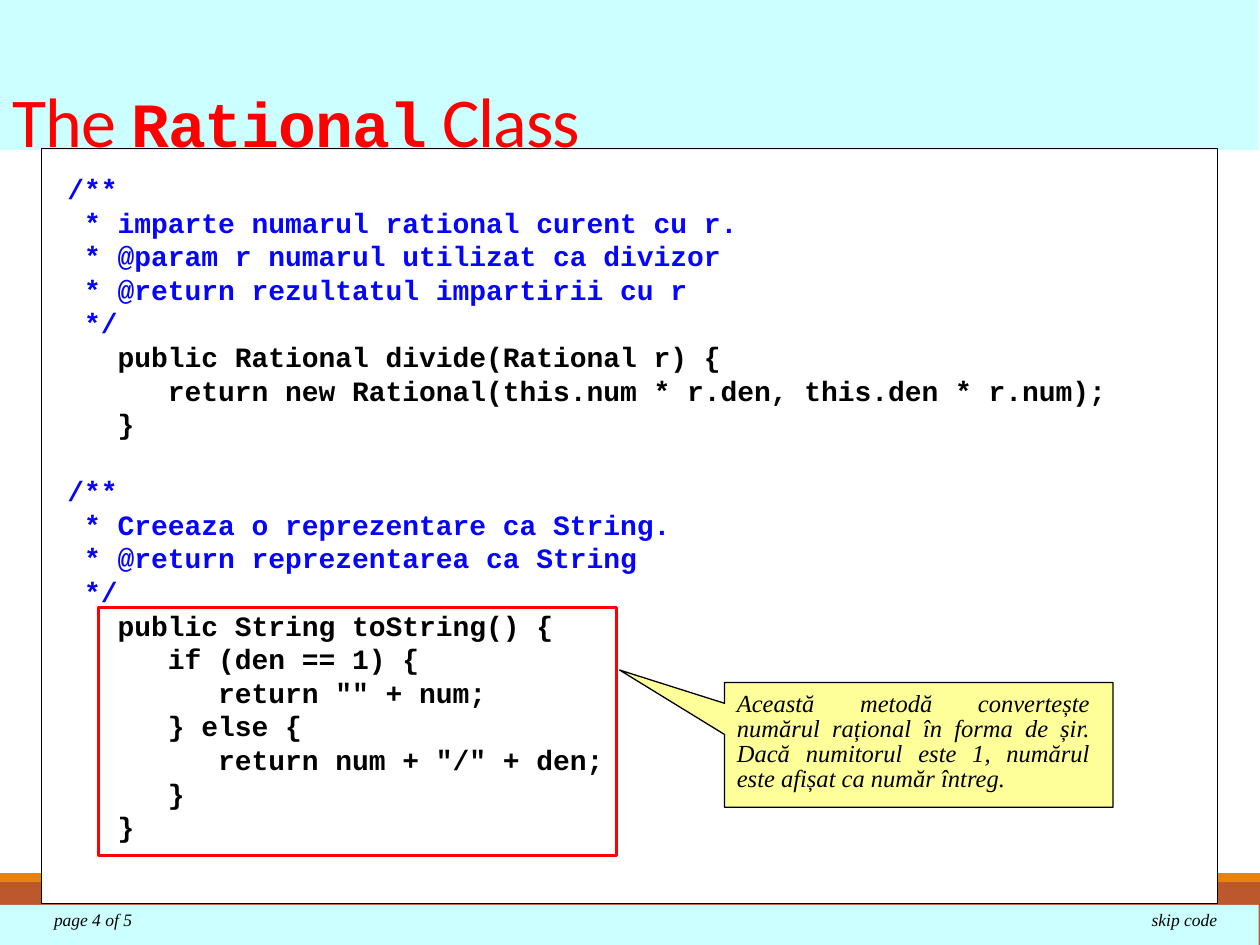
from pptx import Presentation
from pptx.util import Pt
from pptx.dml.color import RGBColor
from pptx.enum.shapes import MSO_SHAPE as SHAPE
from pptx.enum.text import MSO_ANCHOR as ANCHOR, PP_ALIGN as ALIGN

COMMENT, BLACK, RED = "0404FF", "000000", "FF0000"
SERIF, MONO = "Times New Roman", "Courier New"
LINE = 19.2

prs = Presentation()
prs.slide_width, prs.slide_height = Pt(720), Pt(540)
s = prs.slides.add_slide(prs.slide_layouts[6])


def color(value):
    return RGBColor.from_string(value)


def style(font, name, size, value, bold=False, italic=False):
    font.name, font.size = name, Pt(size)
    font.bold, font.italic = bold, italic
    font.color.rgb = color(value)


# Footer bands, code panel, header and footer backgrounds, frames, callout
panel = (23.8, 85, 671.8, 431.3)
boxes = [
    (SHAPE.RECTANGLE, (0, 504, 720, 36), "BD582C", None, 0),
    (SHAPE.RECTANGLE, (0, 499, 720, 5), "E48312", None, 0),
    (SHAPE.RECTANGLE, panel, "FFFFFF", None, 0),
    (SHAPE.RECTANGLE, (0, 0, 719.3, 85.7), "CCFFFF", None, 0),
    (SHAPE.RECTANGLE, (0, 517, 719.3, 23), "CCFFFF", None, 0),
    (SHAPE.RECTANGLE, panel, None, BLACK, 0.75),
    (SHAPE.RECTANGLE, (56.2, 347, 296, 142), None, RED, 1.5),
    (SHAPE.RECTANGULAR_CALLOUT, (414, 390, 222, 71.3), "FFFF99", BLACK, 0.75),
]
for kind, place, fill, line, width in boxes:
    sp = s.shapes.add_shape(kind, *map(Pt, place))
    sp.shadow.inherit = False
    if fill:
        sp.fill.solid()
        sp.fill.fore_color.rgb = color(fill)
    else:
        sp.fill.background()
    if line:
        sp.line.color.rgb = color(line)
        sp.line.width = Pt(width)
    else:
        sp.line.fill.background()
    if kind == SHAPE.RECTANGULAR_CALLOUT:
        sp.adjustments[0], sp.adjustments[1] = -0.77, -0.6

# Title
tf = s.shapes.add_textbox(Pt(0), Pt(5.8), Pt(720), Pt(90)).text_frame
tf.word_wrap = True
tf.vertical_anchor = ANCHOR.BOTTOM
p = tf.paragraphs[0]
p.line_spacing = 0.85
for text, name, size in [("The ", "Calibri", 40), ("Rational", MONO, 36),
                         (" Class", "Calibri", 40)]:
    r = p.add_run()
    r.text = text
    style(r.font, name, size, RED, bold=name == MONO)
    r.font._element.set("spc", "-50")

# Code: each method is a comment followed by its body
methods = [
    ("""/**
 * imparte numarul rational curent cu r.
 * @param r numarul utilizat ca divizor
 * @return rezultatul impartirii cu r
 */""",
     """   public Rational divide(Rational r) {
      return new Rational(this.num * r.den, this.den * r.num);
   }"""),
    ("""/**
 * Creeaza o reprezentare ca String.
 * @return reprezentarea ca String
 */""",
     """   public String toString() {
      if (den == 1) {
         return "" + num;
      } else {
         return num + "/" + den;
      }
   }"""),
]
tf = s.shapes.add_textbox(Pt(31.4), Pt(94.5), Pt(657.4), Pt(392.4)).text_frame
tf.word_wrap = True
tf.text = "\n".join(part for method in methods for part in method)
values = [value for method in methods
          for part, value in zip(method, (COMMENT, BLACK))
          for _ in part.split("\n")]
for i, (p, value) in enumerate(zip(tf.paragraphs, values)):
    p.line_spacing = Pt(LINE)
    if i and p.text == "/**":
        p.space_before = Pt(LINE)
    style(p.runs[0].font, MONO, 16, value, bold=True)

# Callout note and footer labels
notes = [
    ("Această metodă convertește numărul rațional în forma de șir. "
     "Dacă numitorul este 1, numărul este afișat ca număr întreg.",
     (414, 392.4, 216, 64.8), 14, ALIGN.JUSTIFY, 0.85),
    ("skip code", (651, 516.2, 57, 19.4), 10, ALIGN.LEFT, 1),
    ("page 4 of 5", (23.8, 516, 72, 19.4), 10, ALIGN.LEFT, 1),
]
for text, place, size, align, spacing in notes:
    tf = s.shapes.add_textbox(*map(Pt, place)).text_frame
    tf.word_wrap = True
    tf.text = text
    p = tf.paragraphs[0]
    p.alignment, p.line_spacing = align, spacing
    style(p.runs[0].font, SERIF, size, BLACK, italic=True)

prs.save("out.pptx")
